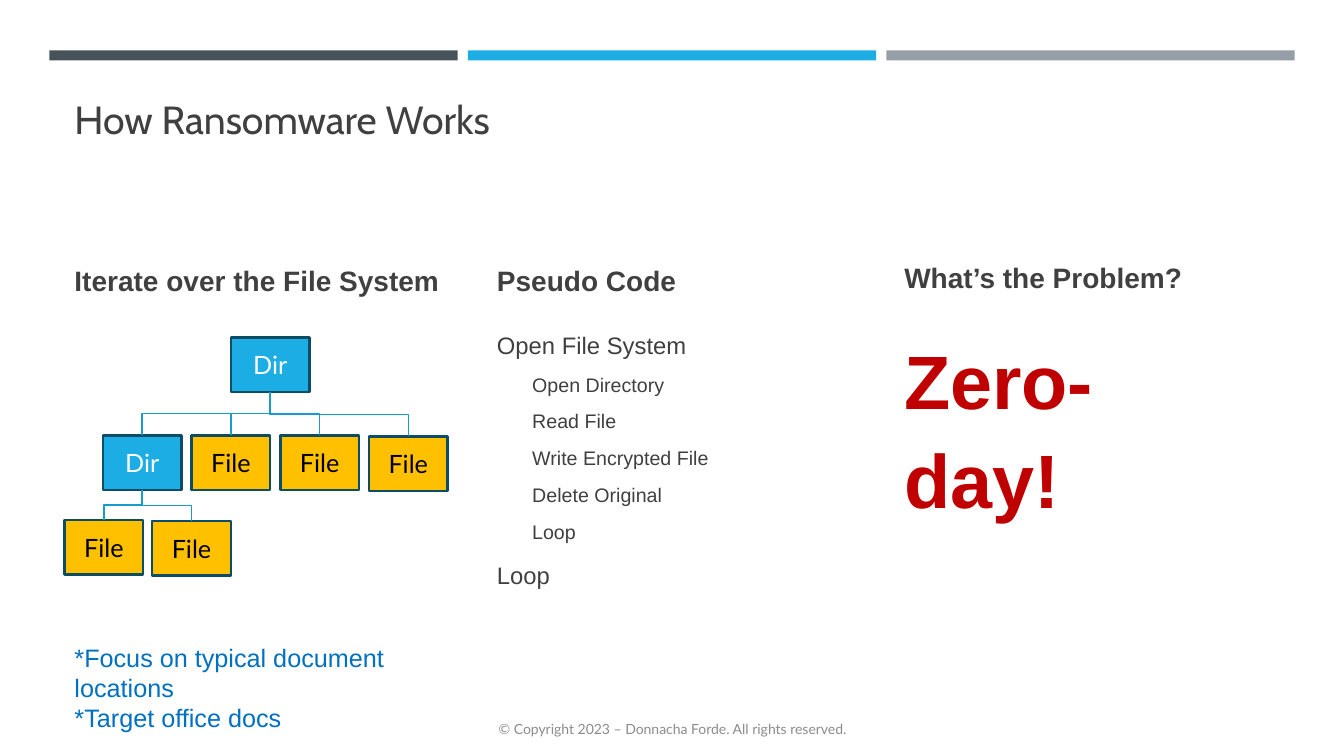
from pptx import Presentation
from pptx.dml.color import RGBColor
from pptx.enum import shapes, text
from pptx.oxml.ns import qn
from pptx.util import Inches, Pt
from lxml import etree

GREY, BLUE, AMBER = "404040", "1CADE4", "FFC000"
TOP, MIDDLE, BOTTOM = (text.MSO_ANCHOR.TOP, text.MSO_ANCHOR.MIDDLE,
                       text.MSO_ANCHOR.BOTTOM)


def color(hex_code):
    return RGBColor.from_string(hex_code)


def write(shape, lines, font, hex_code, anchor=TOP, bold=False, align=None,
          spacing=None, gaps=(0, 0)):
    """Fill a shape with (text, size, left indent) lines; gaps are before and after."""
    frame = shape.text_frame
    frame.word_wrap = True
    frame.vertical_anchor = anchor
    for i, (words, size, indent) in enumerate(lines):
        para = frame.add_paragraph() if i else frame.paragraphs[0]
        if indent:
            para._p.get_or_add_pPr().set("marL", str(Inches(indent)))
        para.alignment = align
        para.line_spacing = 1.0 if indent else spacing
        para.space_before = Pt(gaps[0] if i else 0)
        para.space_after = Pt(gaps[1])
        run = para.add_run()
        run.text = words
        run.font.name, run.font.size, run.font.bold = font, Pt(size), bold
        run.font.color.rgb = color(hex_code)


prs = Presentation()
prs.slide_width, prs.slide_height = Inches(13.33), Inches(7.5)
slide = prs.slides.add_slide(prs.slide_layouts[6])
items = slide.shapes

# Top bars
for i, bar_color in enumerate(("465359", BLUE, "969FA7")):
    bar = items.add_shape(shapes.MSO_SHAPE.RECTANGLE, Inches(0.49 + 4.15 * i),
                          Inches(0.5), Inches(4.05), Inches(0.1))
    bar.shadow.inherit = False
    bar.fill.solid()
    bar.fill.fore_color.rgb = color(bar_color)
    bar.line.fill.background()

title = items.add_textbox(Inches(0.64), Inches(0.8), Inches(12.06), Inches(0.66))
write(title, [("How Ransomware Works", 28, 0)], "Cabin", GREY, BOTTOM)

# Column headings
for heading, left, top, width in (("Iterate over the File System", 0.64, 2.46, 5.68),
                                  ("Pseudo Code", 4.83, 2.46, 3.18),
                                  ("What’s the Problem?", 8.87, 2.43, 3.18)):
    box = items.add_textbox(Inches(left), Inches(top), Inches(width), Inches(0.61))
    write(box, [(heading, 20, 0)], "Arial", GREY, MIDDLE, bold=True,
          spacing=1.1, gaps=(0, 6))

# Pseudo code
steps = ("Open Directory", "Read File", "Write Encrypted File", "Delete Original", "Loop")
pseudo_code = items.add_textbox(Inches(4.83), Inches(3.2), Inches(3.18), Inches(3.21))
write(pseudo_code,
      [("Open File System", 17, 0), *((step, 14, 0.35) for step in steps), ("Loop", 17, 0)],
      "Arial", GREY, spacing=1.1, gaps=(3.6, 6))

problem = items.add_textbox(Inches(8.87), Inches(3.17), Inches(3.18), Inches(3.21))
write(problem, [("Zero-day!", 54, 0)], "Arial", "C00000", bold=True,
      spacing=1.1, gaps=(0, 6))

# File system tree: label, left, top, index of parent
NODE_W, NODE_H = 0.78, 0.54
nodes = (("Dir", 2.29, 3.35, None),
         ("Dir", 1.02, 4.32, 0), ("File", 1.9, 4.32, 0),
         ("File", 2.78, 4.32, 0), ("File", 3.66, 4.33, 0),
         ("File", 0.64, 5.16, 1), ("File", 1.51, 5.17, 1))
for label, left, top, _ in nodes:
    node = items.add_shape(shapes.MSO_SHAPE.FLOWCHART_PROCESS, Inches(left),
                           Inches(top), Inches(NODE_W), Inches(NODE_H))
    node.shadow.inherit = False
    node.fill.solid()
    node.fill.fore_color.rgb = color(BLUE if label == "Dir" else AMBER)
    node.line.color.rgb = color("0C4C64")
    node.line.width = Pt(1.75)
    write(node, [(label, 18, 0)], "Lato", "FFFFFF" if label == "Dir" else "000000",
          MIDDLE, align=text.PP_ALIGN.CENTER)

# Branches leave downwards, so each elbow is laid out sideways and turned
for _, left, top, parent in nodes:
    if parent is None:
        continue
    _, parent_left, parent_top, _ = nodes[parent]
    drop = top - parent_top - NODE_H
    shift = left - parent_left
    mid_x = (left + parent_left + NODE_W) / 2
    mid_y = top - drop / 2
    half_w = -drop / 2 if shift > 0 else drop / 2
    half_h = abs(shift) / 2
    branch = items.add_connector(
        shapes.MSO_CONNECTOR.ELBOW, Inches(mid_x - half_w), Inches(mid_y - half_h),
        Inches(mid_x + half_w), Inches(mid_y + half_h))
    properties = branch._element.spPr
    properties.find(qn("a:xfrm")).set("rot", "16200000" if shift > 0 else "5400000")
    branch.line.color.rgb = color("189CCE")
    branch.line.width = Pt(1)
    etree.SubElement(properties, qn("a:effectLst"))

targets = items.add_textbox(Inches(0.64), Inches(6.32), Inches(3.98), Inches(0.71))
write(targets, [("*Focus on typical document locations", 18, 0),
                ("*Target office docs", 18, 0)], "Arial", "0070C0")

footer = items.add_textbox(Inches(0.64), Inches(7.03), Inches(12.06), Inches(0.4))
write(footer, [("© Copyright 2023 – Donnacha Forde. All rights reserved.", 10, 0)],
      "Lato", "8C8C8C", MIDDLE, align=text.PP_ALIGN.CENTER)

prs.save("out.pptx")
